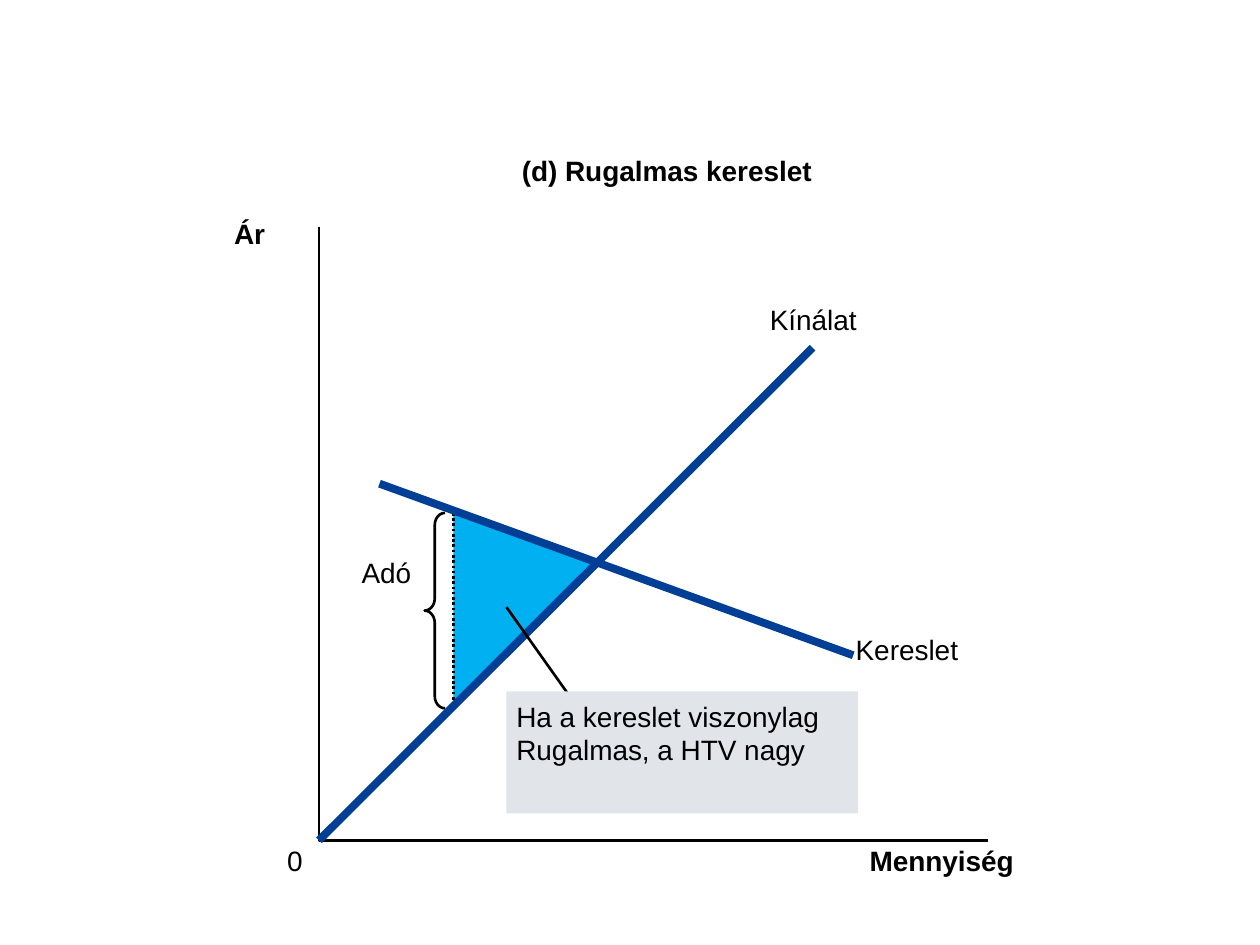
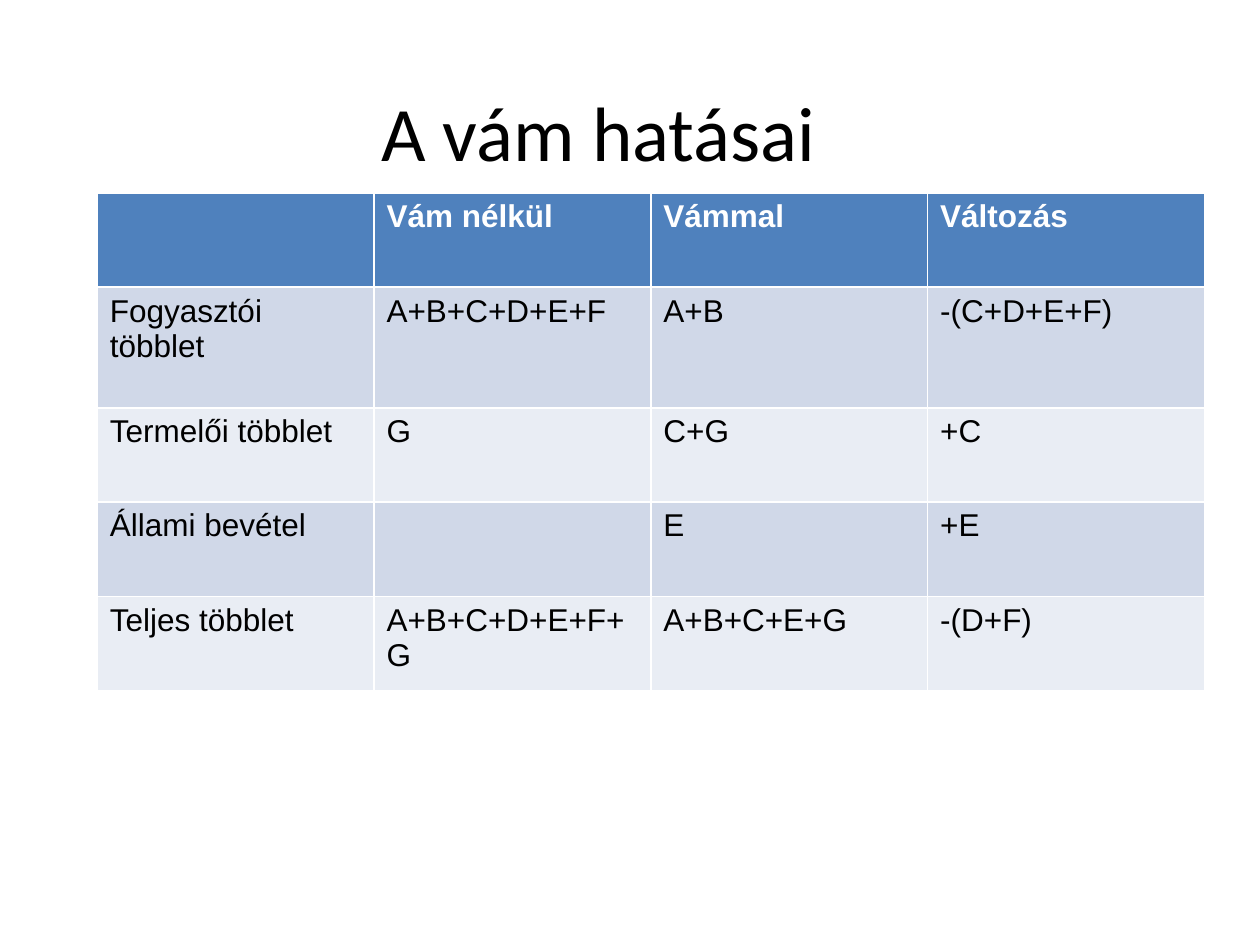
from dataclasses import dataclass

from lxml import etree
from pptx import Presentation
from pptx.dml.color import RGBColor
from pptx.enum.dml import MSO_LINE
from pptx.enum.shapes import MSO_CONNECTOR, MSO_SHAPE
from pptx.enum.text import MSO_ANCHOR, PP_ALIGN
from pptx.oxml.ns import qn
from pptx.util import Cm, Pt

STRAIGHT = MSO_CONNECTOR.STRAIGHT
RECT, BRACE = MSO_SHAPE.RECTANGLE, MSO_SHAPE.LEFT_BRACE
DOTS = MSO_LINE.ROUND_DOT
TOP, CENTER = MSO_ANCHOR.TOP, PP_ALIGN.CENTER

BLACK, WHITE = "000000", "FFFFFF"
CURVE, LOSS, NOTE = "003F95", "00B0F0", "E1E5E9"
HEAD, BANDS = "4F81BD", ("D0D8E8", "E9EDF4")
BODY, TITLE = "Arial", "Calibri"
THIN, THICK = 1.5, 4.5

ZERO = (6.43, 16.94)
TAXED = (9.14, 10.34)
COST = (9.14, 14.27)
MEET = (12.01, 11.35)


@dataclass
class Label:
    x: float
    y: float
    w: float
    lines: tuple[str, ...]
    bold: bool = False
    h: float = 0.69


@dataclass
class Line:
    start: tuple[float, float]
    end: tuple[float, float]
    width: float = THIN
    color: str = BLACK
    dash: MSO_LINE | None = None


LABELS = (
    Label(10.52, 3.1, 5.92, ("(d) Rugalmas kereslet",), True, 1.7),
    Label(4.72, 4.37, 0.64, ("Ár",), True),
    Label(5.79, 17, 0.3, ("0",)),
    Label(17.53, 17, 2.95, ("Mennyiség",), True),
    Label(7.29, 11.2, 1.02, ("Adó",)),
    Label(17.25, 12.75, 2.08, ("Kereslet",)),
    Label(15.52, 6.1, 1.78, ("Kínálat",)),
    Label(10.41, 14.1, 6.32,
          ("Ha a kereslet viszonylag", "Rugalmas, a HTV nagy"), h=1.37),
)
TAX = Line(TAXED, COST, dash=DOTS)
DEMAND = Line((17.2, 13.21), (7.65, 9.75), THICK, CURVE)
SUPPLY = Line((16.38, 7.01), ZERO, THICK, CURVE)
POINTER = Line((11.58, 14.17), (10.21, 12.24))

ROWS = (
    ("", "Vám nélkül", "Vámmal", "Változás"),
    ("Fogyasztói többlet", "A+B+C+D+E+F", "A+B", "-(C+D+E+F)"),
    ("Termelői többlet", "G", "C+G", "+C"),
    ("Állami bevétel", "", "E", "+E"),
    ("Teljes többlet", "A+B+C+D+E+F+G", "A+B+C+E+G", "-(D+F)"),
)
HEIGHTS = (1.9, 2.43, 1.9, 1.9, 1.9)
COLUMN = 5.58


def rgb(code: str) -> RGBColor:
    return RGBColor.from_string(code)


def paint(shape, fill: str | None = None, line: str | None = None) -> None:
    """Give a shape a flat fill and line, or none, and no shadow."""
    shape.shadow.inherit = False
    if fill:
        shape.fill.solid()
        shape.fill.fore_color.rgb = rgb(fill)
    else:
        shape.fill.background()
    if line:
        shape.line.color.rgb = rgb(line)
        shape.line.width = Pt(THIN)
    else:
        shape.line.fill.background()


def write(para, text: str, size: float, color: str = BLACK,
          bold: bool = False, face: str = BODY) -> None:
    run = para.add_run()
    run.text = text
    font = run.font
    font.name, font.size, font.bold = face, Pt(size), bold
    font.color.rgb = rgb(color)


def add_label(slide, label: Label) -> None:
    box = slide.shapes.add_textbox(
        Cm(label.x), Cm(label.y), Cm(label.w), Cm(label.h))
    frame = box.text_frame
    frame.word_wrap = False
    frame.margin_left = frame.margin_right = 0
    frame.margin_top = frame.margin_bottom = 0
    for i, text in enumerate(label.lines):
        para = frame.add_paragraph() if i else frame.paragraphs[0]
        write(para, text, 16, bold=label.bold)


def add_line(slide, line: Line) -> None:
    link = slide.shapes.add_connector(
        STRAIGHT, *map(Cm, line.start), *map(Cm, line.end))
    link.line.color.rgb = rgb(line.color)
    link.line.width = Pt(line.width)
    if line.dash:
        link.line.dash_style = line.dash
    etree.SubElement(link._element.spPr, qn("a:effectLst"))


def add_path(slide, points: tuple, close: bool):
    start, *rest = [(Cm(x), Cm(y)) for x, y in points]
    path = slide.shapes.build_freeform(*start)
    path.add_line_segments(rest, close=close)
    return path.convert_to_shape()


def add_shape(slide, kind: MSO_SHAPE, x: float, y: float, w: float, h: float):
    return slide.shapes.add_shape(kind, Cm(x), Cm(y), Cm(w), Cm(h))


def draw_graph(slide) -> None:
    paint(add_path(slide, (COST, TAXED, MEET), True), LOSS)
    add_line(slide, TAX)
    axes = add_path(slide, ((ZERO[0], 4.57), ZERO, (19.91, ZERO[1])), False)
    paint(axes, line=BLACK)

    brace = add_shape(slide, BRACE, 8.56, TAXED[1], 0.41, 3.94)
    brace.adjustments[0] = 0.6
    paint(brace, line=BLACK)

    for line in (DEMAND, SUPPLY, POINTER):
        add_line(slide, line)
    paint(add_shape(slide, RECT, 10.21, 13.94, 7.09, 2.46), NOTE)
    for label in LABELS:
        add_label(slide, label)


def draw_title(slide, text: str) -> None:
    title = slide.shapes.title
    title.left, title.top = Cm(1.27), Cm(1.47)
    title.width, title.height = Cm(21.59), Cm(3.18)
    frame = title.text_frame
    frame.vertical_anchor = TOP
    frame.margin_top = Cm(0.23)
    para = frame.paragraphs[0]
    para.alignment = CENTER
    write(para, text, 44, face=TITLE)


def draw_table(slide) -> None:
    count = len(ROWS[0])
    table = slide.shapes.add_table(
        len(ROWS), count, Cm(1.96), Cm(3.89),
        Cm(COLUMN * count), Cm(sum(HEIGHTS))).table
    for col in table.columns:
        col.width = Cm(COLUMN)
    for r, texts in enumerate(ROWS):
        table.rows[r].height = Cm(HEIGHTS[r])
        for c, text in enumerate(texts):
            cell = table.cell(r, c)
            cell.fill.solid()
            cell.fill.fore_color.rgb = rgb(BANDS[(r - 1) % 2] if r else HEAD)
            if text:
                write(cell.text_frame.paragraphs[0], text, 18,
                      BLACK if r else WHITE, not r)


def main() -> None:
    deck = Presentation()
    deck.slide_width, deck.slide_height = Cm(25.4), Cm(19.05)
    draw_graph(deck.slides.add_slide(deck.slide_layouts[6]))
    slide = deck.slides.add_slide(deck.slide_layouts[5])
    draw_title(slide, "A vám hatásai")
    draw_table(slide)
    deck.save("out.pptx")


if __name__ == "__main__":
    main()
